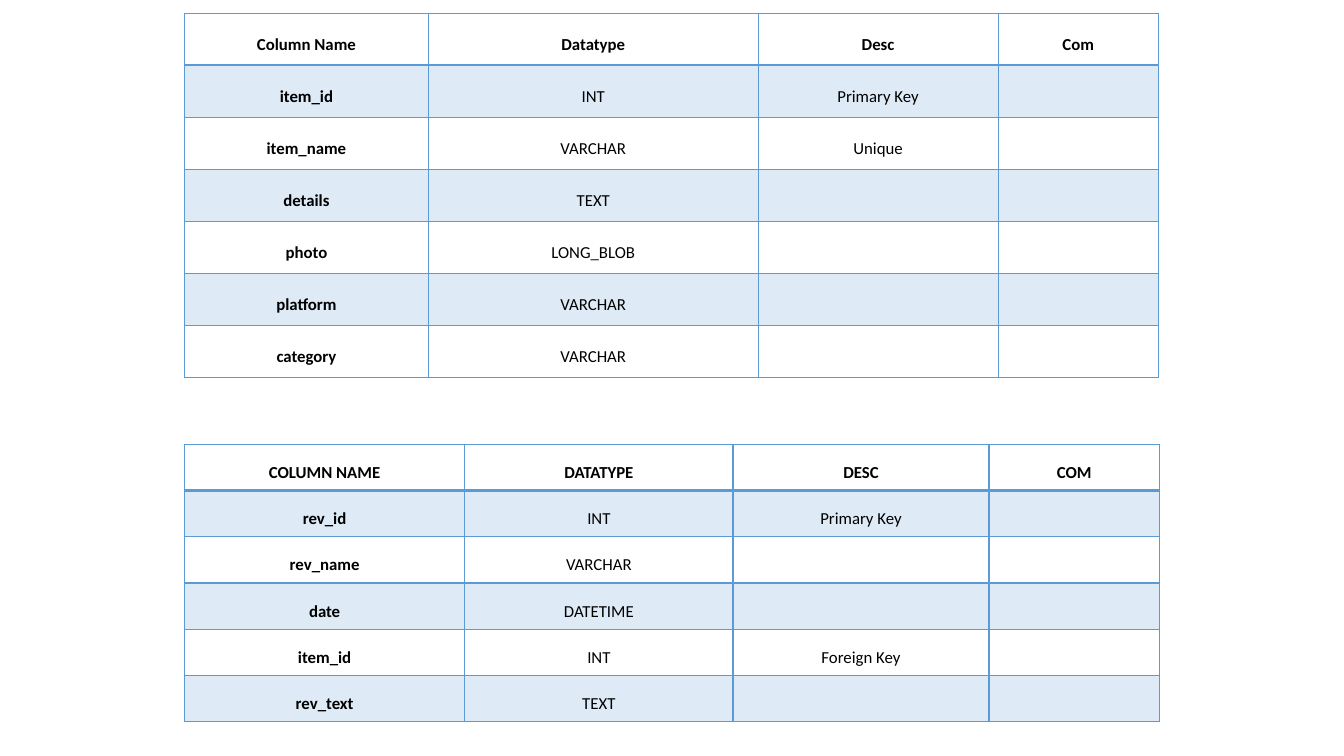
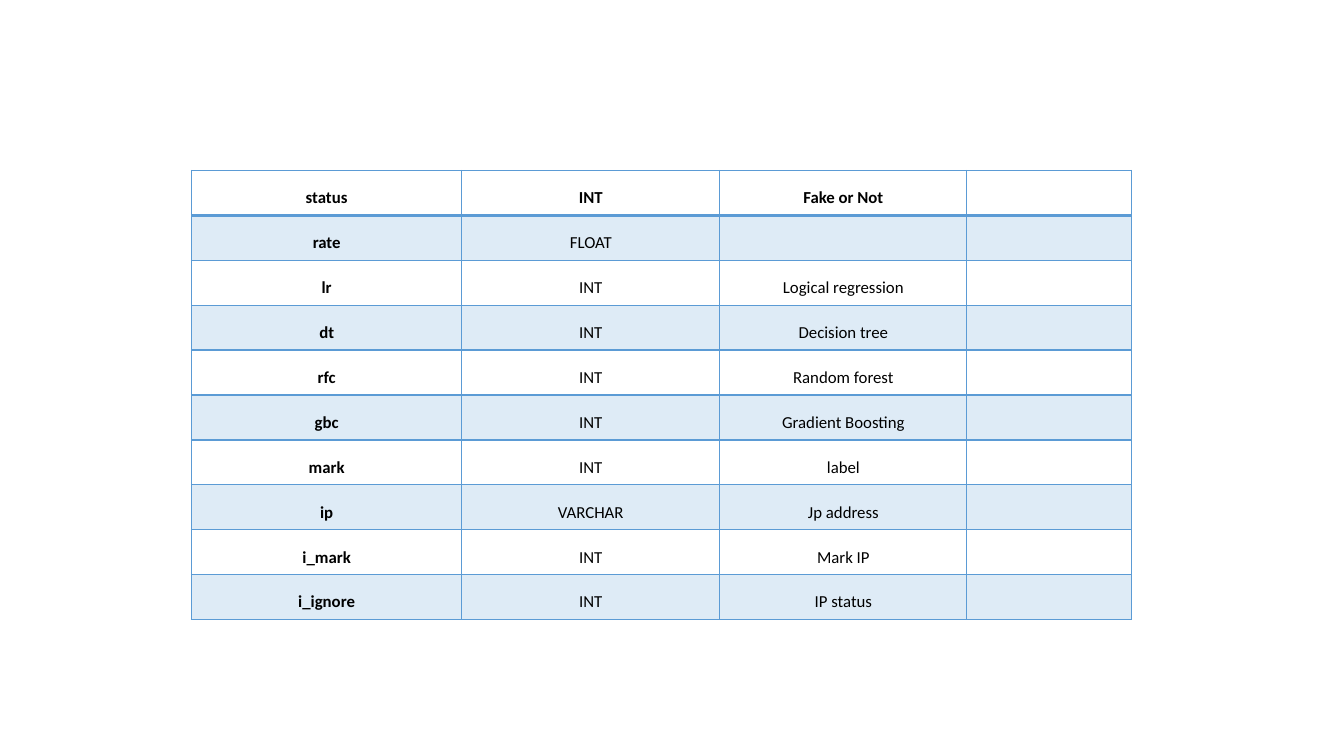
from dataclasses import dataclass

from lxml.etree import SubElement
from pptx import Presentation
from pptx.dml.color import RGBColor
from pptx.enum.text import MSO_ANCHOR, PP_ALIGN
from pptx.oxml.ns import qn
from pptx.util import Emu, Pt

EMU_PER_PX = 9144


@dataclass(frozen=True)
class Theme:
    accent: str = "5B9BD5"
    text: str = "000000"
    band_opacity: int = 20
    font: str = "Calibri"
    text_size: int = 12
    line_spacing: float = 1.5
    space_after: int = 10
    rule: int = 1
    header_rule: int = 2


THEME = Theme()

ITEM_ROWS = [
    ("Column Name", "Datatype", "Desc", "Com"),
    ("item_id", "INT", "Primary Key", ""),
    ("item_name", "VARCHAR", "Unique", ""),
    ("details", "TEXT", "", ""),
    ("photo", "LONG_BLOB", "", ""),
    ("platform", "VARCHAR", "", ""),
    ("category", "VARCHAR", "", ""),
]
REVIEW_ROWS = [
    ("COLUMN NAME", "DATATYPE", "DESC", "COM"),
    ("rev_id", "INT", "Primary Key", ""),
    ("rev_name", "VARCHAR", "", ""),
    ("date", "DATETIME", "", ""),
    ("item_id", "INT", "Foreign Key", ""),
    ("rev_text", "TEXT", "", ""),
]
STATUS_ROWS = [
    ("status", "INT", "Fake or Not", ""),
    ("rate", "FLOAT", "", ""),
    ("lr", "INT", "Logical regression", ""),
    ("dt", "INT", "Decision tree", ""),
    ("rfc", "INT", "Random forest", ""),
    ("gbc", "INT", "Gradient Boosting", ""),
    ("mark", "INT", "label", ""),
    ("ip", "VARCHAR", "Jp address", ""),
    ("i_mark", "INT", "Mark IP", ""),
    ("i_ignore", "INT", "IP status", ""),
]


def px(length):
    return Emu(round(length * EMU_PER_PX))


def set_borders(cell, bottom_width):
    properties = cell._tc.get_or_add_tcPr()
    for side in "LRTB":
        width = bottom_width if side == "B" else THEME.rule
        line = SubElement(properties, qn(f"a:ln{side}"), w=str(Pt(width)))
        fill = SubElement(line, qn("a:solidFill"))
        SubElement(fill, qn("a:srgbClr"), val=THEME.accent)


def set_fill(cell, banded):
    if not banded:
        cell.fill.background()
        return
    cell.fill.solid()
    cell.fill.fore_color.rgb = RGBColor.from_string(THEME.accent)
    color = cell._tc.tcPr.find(qn("a:solidFill")).find(qn("a:srgbClr"))
    SubElement(color, qn("a:alpha"), val=str(THEME.band_opacity * 1000))


def set_text(cell, text, bold, margins):
    side, top = margins
    cell.margin_left = cell.margin_right = px(side)
    cell.margin_top = cell.margin_bottom = px(top)
    cell.vertical_anchor = MSO_ANCHOR.MIDDLE
    cell.text = text
    paragraph = cell.text_frame.paragraphs[0]
    paragraph.alignment = PP_ALIGN.CENTER
    paragraph.line_spacing = THEME.line_spacing
    paragraph.space_after = Pt(THEME.space_after)
    font = paragraph.font
    font.name = THEME.font
    font.size = Pt(THEME.text_size)
    font.bold = bold
    font.color.rgb = RGBColor.from_string(THEME.text)


def add_schema_table(slide, left, top, height, column_widths, rows, margins=(7, 4)):
    """Add a table with a bold first row and column and every second row tinted."""
    table = slide.shapes.add_table(
        len(rows), len(column_widths),
        px(left), px(top), px(sum(column_widths)), px(height),
    ).table
    table.horz_banding = False
    for column, width in zip(table.columns, column_widths):
        column.width = px(width)
    for row_index, values in enumerate(rows):
        table.rows[row_index].height = px(height / len(rows))
        is_header = row_index == 0
        for column_index, value in enumerate(values):
            cell = table.cell(row_index, column_index)
            set_text(cell, value, is_header or column_index == 0, margins)
            set_borders(cell, THEME.header_rule if is_header else THEME.rule)
            set_fill(cell, banded=row_index % 2 == 1)


def main():
    presentation = Presentation()
    presentation.slide_width = px(1333)
    presentation.slide_height = px(750)
    blank = presentation.slide_layouts[6]

    items_and_reviews = presentation.slides.add_slide(blank)
    add_schema_table(items_and_reviews, 183, 13, 362, (242, 327, 238, 159),
                     ITEM_ROWS, margins=(10, 5))
    add_schema_table(items_and_reviews, 183, 441, 275, (278, 266, 254, 169), REVIEW_ROWS)

    review_status = presentation.slides.add_slide(blank)
    add_schema_table(review_status, 190, 169, 446, (268, 256, 245, 163), STATUS_ROWS)

    presentation.save("out.pptx")


if __name__ == "__main__":
    main()
